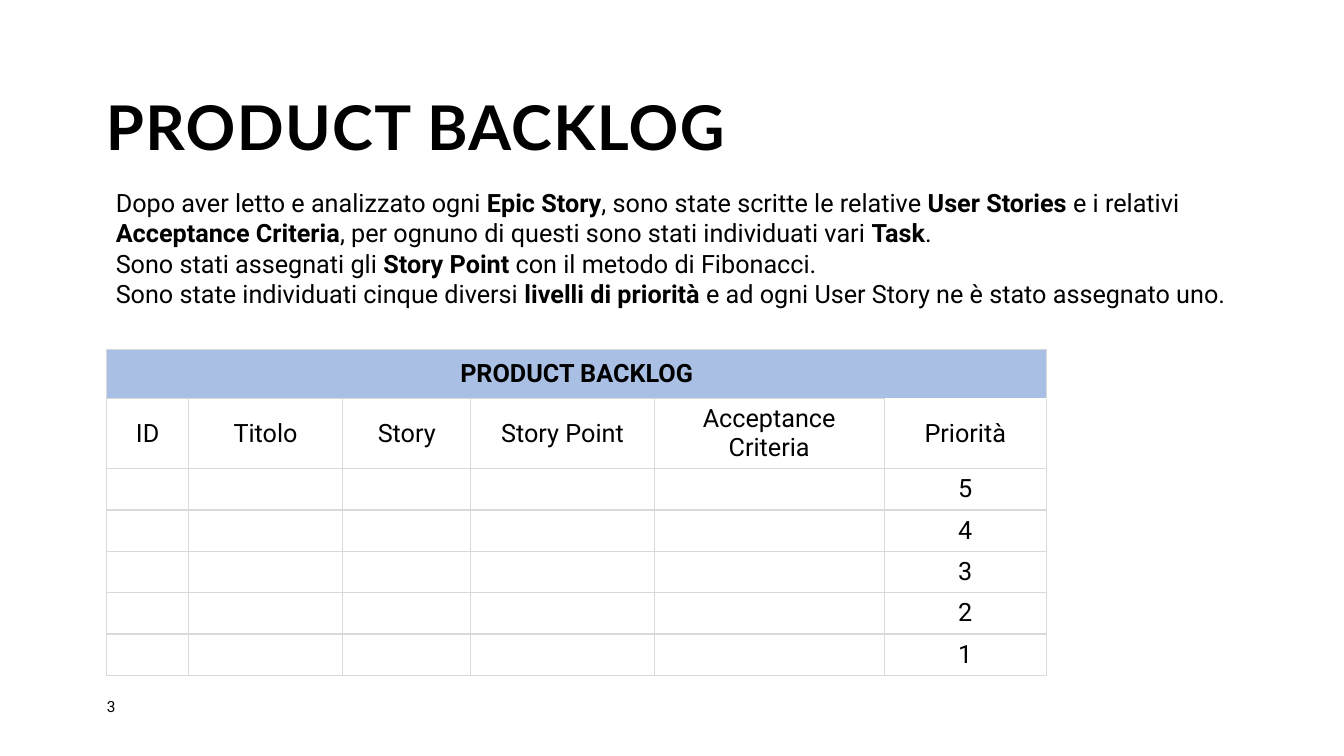
from lxml import etree
from pptx import Presentation
from pptx.dml.color import RGBColor
from pptx.enum.text import MSO_ANCHOR, MSO_AUTO_SIZE, PP_ALIGN
from pptx.oxml.ns import qn
from pptx.util import Inches, Pt

BLACK = RGBColor(0x00, 0x00, 0x00)
WHITE = RGBColor(0xFF, 0xFF, 0xFF)
BLUE = RGBColor(0x8E, 0xAA, 0xDB)
GREY = RGBColor(0xD9, 0xD9, 0xD9)
TOP, MIDDLE, BOTTOM = MSO_ANCHOR.TOP, MSO_ANCHOR.MIDDLE, MSO_ANCHOR.BOTTOM
LEFT, CENTER = PP_ALIGN.LEFT, PP_ALIGN.CENTER
GROW = MSO_AUTO_SIZE.SHAPE_TO_FIT_TEXT

INTRO = [
    "Dopo aver letto e analizzato ogni **Epic Story**, sono state scritte le relative "
    "**User Stories **e i relativi **Acceptance Criteria**, per ognuno di questi sono stati "
    "individuati vari **Task**.",
    "Sono stati assegnati gli **Story Point **con il metodo di Fibonacci.",
    "Sono state individuati cinque diversi **livelli di priorità **e ad ogni User Story "
    "ne è stato assegnato uno.",
]
HEADERS = ["ID", "Titolo", "Story", "Story Point", "Acceptance Criteria", "Priorità"]
COL_WIDTHS = [0.81, 1.53, 1.27, 1.82, 2.28, 1.61]
PRIORITIES = ["5", "4", "3", "2", "1"]
TITLE_ROW, ROW = 0.48, 0.41


def write(p, text, size=18, font="Roboto", bold=False, align=LEFT, line=None, spacing=None):
    p.alignment = align
    if line:
        p.line_spacing = line
    for i, part in enumerate(text.split("**")):
        if not part:
            continue
        r = p.add_run()
        r.text = part
        r.font.size = Pt(size)
        r.font.name = font
        r.font.bold = bold or i % 2 == 1
        r.font.color.rgb = BLACK
        if spacing:
            r.font._element.set("spc", str(int(spacing * 100)))


class Slide:
    def __init__(self, prs):
        self.slide = prs.slides.add_slide(prs.slide_layouts[6])
        self.slide.background.fill.solid()
        self.slide.background.fill.fore_color.rgb = WHITE

    def text(self, x, y, w, h, paragraphs, anchor=TOP, inset=True, grow=False, **style):
        sp = self.slide.shapes.add_textbox(Inches(x), Inches(y), Inches(w), Inches(h))
        tf = sp.text_frame
        tf.word_wrap = True
        tf.vertical_anchor = anchor
        if grow:
            tf.auto_size = GROW
        if not inset:
            tf.margin_left = tf.margin_top = tf.margin_right = tf.margin_bottom = 0
        for i, text in enumerate(paragraphs):
            p = tf.add_paragraph() if i else tf.paragraphs[0]
            write(p, text, **style)

    def cell(self, cell, text, fill, bold=False, top=GREY):
        cell.vertical_anchor = MIDDLE
        if text:
            write(cell.text_frame.paragraphs[0], text, bold=bold, align=CENTER)
        cell.fill.solid()
        cell.fill.fore_color.rgb = fill
        tc_pr = cell._tc.get_or_add_tcPr()
        color = tc_pr.find(".//" + qn("a:srgbClr"))
        etree.SubElement(color, qn("a:alpha"), val="75000")
        edges = {"a:lnL": GREY, "a:lnR": GREY, "a:lnT": top, "a:lnB": GREY}
        for i, (tag, rgb) in enumerate(edges.items()):
            ln = etree.Element(qn(tag), w=str(Pt(1)))
            solid = etree.SubElement(ln, qn("a:solidFill"))
            etree.SubElement(solid, qn("a:srgbClr"), val=str(rgb))
            tc_pr.insert(i, ln)

    def table(self, x, y, title, headers, priorities):
        cols = len(headers)
        rows = [[title] + [""] * (cols - 1), headers]
        rows += [[""] * (cols - 1) + [priority] for priority in priorities]
        heights = [TITLE_ROW] + [ROW] * (len(rows) - 1)
        frame = self.slide.shapes.add_table(
            len(rows), cols, Inches(x), Inches(y), Inches(sum(COL_WIDTHS)), Inches(sum(heights)))
        table = frame.table
        for column, width in zip(table.columns, COL_WIDTHS):
            column.width = Inches(width)
        for row, height in zip(table.rows, heights):
            row.height = Inches(height)
        for i, values in enumerate(rows):
            for j, value in enumerate(values):
                top = WHITE if value == headers[-1] else GREY
                self.cell(table.cell(i, j), value, WHITE if i else BLUE, bold=i == 0, top=top)
        table.cell(0, 0).merge(table.cell(0, cols - 1))


def main():
    prs = Presentation()
    prs.slide_width = Inches(13.33)
    prs.slide_height = Inches(7.5)
    s = Slide(prs)
    s.text(1.05, 0.96, 10.01, 0.67, ["PRODUCT BACKLOG"], anchor=BOTTOM, inset=False,
           size=44, font="Lato", bold=True, line=0.9, spacing=1)
    s.text(1.06, 6.92, 0.57, 0.27, ["3"], inset=False, size=11)
    s.table(1.06, 3.47, "PRODUCT BACKLOG", HEADERS, PRIORITIES)
    s.text(1.05, 1.81, 11.25, 1.31, INTRO, grow=True)
    prs.save("out.pptx")


if __name__ == "__main__":
    main()
